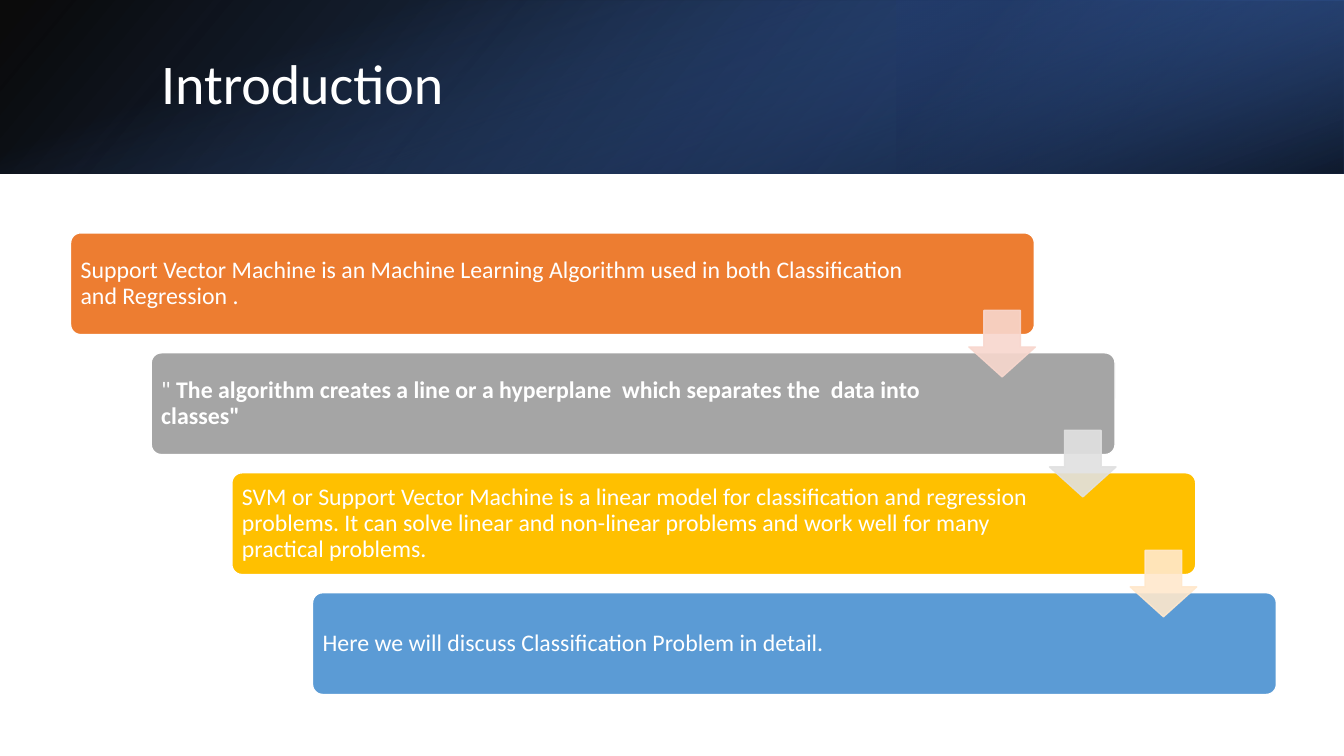
from lxml.etree import SubElement
from pptx import Presentation
from pptx.dml.color import RGBColor
from pptx.enum.shapes import MSO_SHAPE
from pptx.enum.text import MSO_ANCHOR, PP_ALIGN
from pptx.oxml import parse_xml
from pptx.oxml.ns import qn
from pptx.util import Inches, Pt

TITLE = "Introduction"
BANDS = [
    {"at": (0, 0, 13.33, 1.72), "turn": 0, "flip": True, "angle": 140,
     "stops": [(0, "000000", 96), (100, "2F5597", 100)]},
    {"at": (8.89, 0, 4.44, 1.72), "turn": 180, "flip": True, "angle": 320,
     "stops": [(19, "203864", 68), (100, "4472C4", 79)]},
    {"at": (5.8, -5.8, 1.72, 13.33), "turn": 90, "flip": False, "angle": 340,
     "stops": [(23, "4472C4", 0), (99, "000000", 74)]},
]
STEPS = [
    ("ED7D31", 1.18, [("Support Vector Machine is an Machine Learning Algorithm used in both Classification and Regression .", False)]),
    ("A5A5A5", 1.53, [("\" ", False), ("The algorithm creates a line or a hyperplane  which separates the  data into classes\"", True)]),
    ("FFC000", 1.53, [("SVM or Support Vector Machine is a linear model for classification and regression problems. It can solve linear and non-linear problems and work well for many practical problems.", False)]),
    ("5B9BD5", 1.53, [("Here we will discuss Classification Problem in detail.", False)]),
]
ARROWS = ["F8D7CE", "E1E1E1", "FFE8CC"]
LEFT, TOP, WIDE, HIGH = 0.7, 2.31, 9.56, 1.01
SHIFT, DROP = 0.8, 1.19
HEAD = 0.66
FRAME = {"word_wrap": True, "vertical_anchor": MSO_ANCHOR.MIDDLE}
PARA = {"alignment": PP_ALIGN.LEFT, "line_spacing": 0.9}


def color(code):
    return RGBColor.from_string(code)


def apply(item, values):
    for name, value in values.items():
        setattr(item, name, value)


def add_box(kind, at, fill=None, line=None, turns=()):
    box = slide.shapes.add_shape(kind, *map(Inches, at))
    box.shadow.inherit = False
    for spot, value in enumerate(turns):
        box.adjustments[spot] = value
    if fill:
        box.fill.solid()
        box.fill.fore_color.rgb = color(fill)
    if line:
        box.line.color.rgb = color(line)
        box.line.width = Pt(1)
    else:
        box.line.fill.background()
    return box


def add_band(band):
    box = add_box(MSO_SHAPE.RECTANGLE, band["at"])
    box.rotation = band["turn"]
    props = box._element.spPr
    if band["flip"]:
        props.find(qn("a:xfrm")).set("flipH", "1")
    stops = "".join(
        f'<a:gs pos="{pos * 1000}"><a:srgbClr val="{code}">'
        f'<a:alpha val="{alpha * 1000}"/></a:srgbClr></a:gs>'
        for pos, code, alpha in band["stops"])
    grad = parse_xml(
        '<a:gradFill xmlns:a="http://schemas.openxmlformats.org/drawingml/2006/main" '
        f'rotWithShape="1"><a:gsLst>{stops}</a:gsLst>'
        f'<a:lin ang="{band["angle"] * 60000}" scaled="0"/></a:gradFill>')
    props.find(qn("a:prstGeom")).addnext(grad)


def write(box, runs, size, pads):
    frame = box.text_frame
    apply(frame, FRAME)
    for side, pad in zip(("left", "top", "right", "bottom"), pads):
        setattr(frame, f"margin_{side}", Inches(pad))
    para = frame.paragraphs[0]
    apply(para, PARA)
    for text, bold in runs:
        run = para.add_run()
        run.text = text
        apply(run.font, {"name": "Calibri", "size": Pt(size), "bold": bold})
        run.font.color.rgb = color("FFFFFF")


deck = Presentation()
apply(deck, {"slide_width": Inches(13.33), "slide_height": Inches(7.5)})
slide = deck.slides.add_slide(deck.slide_layouts[6])

for band in BANDS:
    add_band(band)

title = slide.shapes.add_textbox(*map(Inches, (1.5, 0.38, 10.98, 0.96)))
write(title, [(TITLE, False)], 40, (0.1, 0.05, 0.1, 0.05))

for row, (fill, gap, runs) in enumerate(STEPS):
    at = (LEFT + row * SHIFT, TOP + row * DROP, WIDE, HIGH)
    box = add_box(MSO_SHAPE.ROUNDED_RECTANGLE, at, fill, "FFFFFF", [0.1])
    write(box, runs, 17, (0.07, 0.07, gap, 0.07))

for row, fill in enumerate(ARROWS):
    at = (LEFT + WIDE - HEAD + 0.01 + row * SHIFT, TOP + 0.77 + row * DROP, HEAD, HEAD)
    arrow = add_box(MSO_SHAPE.DOWN_ARROW, at, fill, fill, [0.55, 0.45])
    for tint in arrow._element.spPr.iter(qn("a:srgbClr")):
        SubElement(tint, qn("a:alpha")).set("val", "90000")

deck.save("out.pptx")
